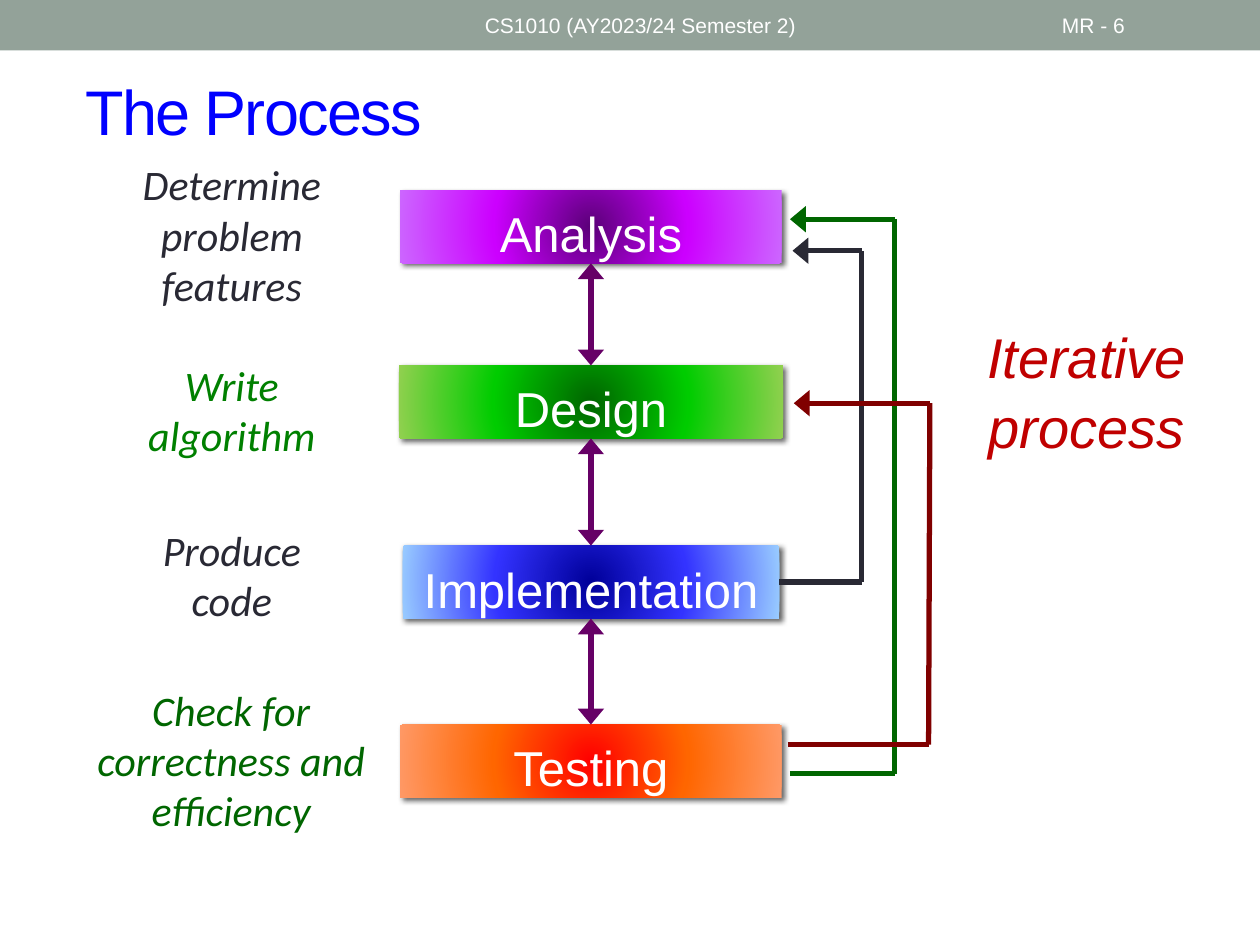
from itertools import pairwise
from lxml import etree
from pptx import Presentation
from pptx.dml.color import RGBColor
from pptx.enum.shapes import MSO_CONNECTOR, MSO_SHAPE
from pptx.enum.text import MSO_ANCHOR, PP_ALIGN
from pptx.oxml import parse_xml
from pptx.oxml.ns import nsdecls, qn
from pptx.util import Inches, Pt

RECT = MSO_SHAPE.RECTANGLE
LINE = MSO_CONNECTOR.STRAIGHT
MID, TOP = MSO_ANCHOR.MIDDLE, MSO_ANCHOR.TOP
CENTER, LEFT = PP_ALIGN.CENTER, PP_ALIGN.LEFT
rgb = RGBColor.from_string


def put(shape, text, size, color, font="Arial", italic=False,
        align=CENTER, anchor=TOP):
    """Write one styled paragraph into a shape."""
    frame = shape.text_frame
    frame.word_wrap = True
    frame.vertical_anchor = anchor
    para = frame.paragraphs[0]
    para.text = text
    para.alignment = align
    para.font.name = font
    para.font.size = Pt(size)
    para.font.italic = italic
    para.font.color.rgb = rgb(color)
    return para


def link(start, end, color, heads=()):
    """Draw a line; heads names its arrow ends, headEnd before tailEnd."""
    line = slide.shapes.add_connector(
        LINE, *(Inches(v) for v in (*start, *end)))
    line.line.color.rgb = rgb(color)
    line.line.width = Pt(3)
    pen = line.line._get_or_add_ln()
    for head in heads:
        etree.SubElement(pen, qn("a:" + head), type="triangle", w="lg")
    etree.SubElement(line._element.spPr, qn("a:effectLst"))
    return line


prs = Presentation()
prs.slide_width, prs.slide_height = Inches(10), Inches(7.5)
slide = prs.slides.add_slide(prs.slide_layouts[5])

# Header band
band = slide.shapes.add_shape(RECT, 0, 0, Inches(10), Inches(0.4))
band.shadow.inherit = False
band.fill.solid()
band.fill.fore_color.rgb = rgb("93A299")
band.line.fill.background()

# Stages: name, top, width, colours from the centre outwards
stages = [
    ("Analysis", 1.51, 3.03, ("5B0079", "CC00FF", "CC66FF")),
    ("Design", 2.9, 3.05, ("006600", "00CC00", "92D050")),
    ("Implementation", 4.33, 2.99, ("000099", "3333FF", "99CCFF")),
    ("Testing", 5.75, 3.03, ("FF0000", "FF6600", "FF9966")),
]
axis, tall = 4.69, 0.58
boxes = []
for name, top, wide, shades in stages:
    box = slide.shapes.add_shape(RECT, Inches(axis - wide / 2), Inches(top),
                                 Inches(wide), Inches(tall))
    box.line.fill.background()
    box.shadow.inherit = False
    stops = "".join(
        f'<a:gs pos="{i * 50000}"><a:srgbClr val="{shade}"/></a:gs>'
        for i, shade in enumerate(shades))
    props = box._element.spPr
    props.find(qn("a:prstGeom")).addnext(parse_xml(
        f'<a:gradFill {nsdecls("a")} rotWithShape="1"><a:gsLst>{stops}'
        '</a:gsLst><a:path path="circle"><a:fillToRect l="50000" t="50000" '
        'r="50000" b="50000"/></a:path></a:gradFill>'))
    props.find(qn("a:effectLst")).append(parse_xml(
        f'<a:outerShdw {nsdecls("a")} blurRad="{Pt(3)}" dist="{Pt(2)}" '
        'dir="2700000"><a:srgbClr val="000000"><a:alpha val="60000"/>'
        '</a:srgbClr></a:outerShdw>'))
    put(box, name, 28, "FFFFFF", anchor=MID)
    box.text_frame.margin_top = Inches(0.1)
    box.text_frame.margin_bottom = 0
    boxes.append(box)

# Two-way arrows between neighbouring stages
for upper, lower in pairwise(boxes):
    arrow = link((axis, 0), (axis, 1), "660066", ("headEnd", "tailEnd"))
    arrow.begin_connect(upper, 2)
    arrow.end_connect(lower, 0)

# Feedback loops: colour and corner points, arrowhead at the last
loops = [
    ("292934", [(6.19, 4.6), (6.84, 4.62), (6.84, 1.99), (6.29, 1.99)]),
    ("006600", [(6.27, 6.14), (7.1, 6.14), (7.1, 1.74), (6.27, 1.74)]),
    ("800000", [(6.25, 5.91), (7.37, 5.91), (7.38, 3.2), (6.3, 3.2)]),
]
for color, points in loops:
    for start, end in pairwise(points):
        part = link(start, end, color,
                    ("tailEnd",) if end == points[-1] else ())
        if start == (6.19, 4.6):
            part.begin_connect(boxes[2], 3)

# Notes beside the stages, and the header texts
side = dict(size=24, font="Calibri", italic=True)
head = dict(size=12, color="FFFFFF", align=LEFT, anchor=MID)
texts = [
    ("Iterative process", (7.5, 2.48, 2.25, 1.18),
     dict(size=32, color="C00000", italic=True)),
    ("Determine problem features", (0.63, 1.21, 2.42, 1.31),
     dict(side, color="292934")),
    ("Write algorithm", (0.67, 2.8, 2.34, 0.91), dict(side, color="008000")),
    ("Produce code", (0.91, 4.11, 1.86, 0.91), dict(side, color="292934")),
    ("Check for correctness and efficiency", (0.45, 5.38, 2.77, 1.31),
     dict(side, color="006600")),
    ("CS1010 (AY2023/24 Semester 2)", (3.75, 0.02, 4.5, 0.36), head),
    ("MR - 6", (8.33, 0.02, 1.17, 0.36), head),
]
for text, place, style in texts:
    note = slide.shapes.add_textbox(*(Inches(v) for v in place))
    para = put(note, text, **style)
    if style["size"] == 32:
        para.line_spacing = 1.05

title = slide.shapes.title
title.left, title.top = Inches(0.58), Inches(0.5)
title.width, title.height = Inches(8.92), Inches(0.75)
para = put(title, "The Process", 36, "0000FF", align=LEFT, anchor=MID)
para.runs[0]._r.get_or_add_rPr().set("spc", "-100")

prs.save("out.pptx")
